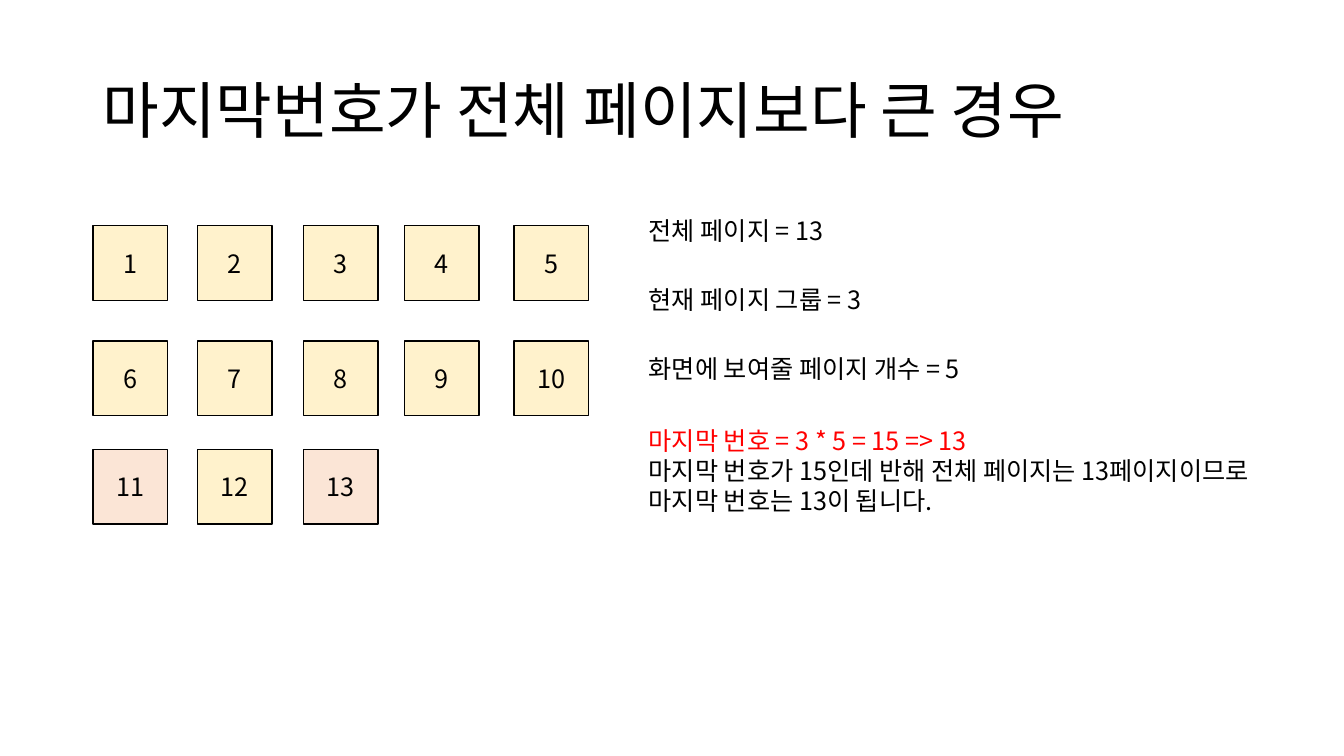
from pptx import Presentation
from pptx.dml.color import RGBColor
from pptx.enum.shapes import MSO_SHAPE
from pptx.enum.text import MSO_ANCHOR, MSO_AUTO_SIZE, PP_ALIGN
from pptx.oxml.ns import qn
from pptx.util import Cm, Pt
from lxml import etree

RECT = MSO_SHAPE.RECTANGLE
MIDDLE = MSO_ANCHOR.MIDDLE
NO_FIT, GROW = MSO_AUTO_SIZE.NONE, MSO_AUTO_SIZE.SHAPE_TO_FIT_TEXT
LEFT, CENTER = PP_ALIGN.LEFT, PP_ALIGN.CENTER
KOREAN_FONT, TITLE_FONT = "Noto Sans CJK KR", "Lato"
BLACK, RED, CREAM, PEACH = "000000", "FF0000", "FFF2CC", "FBE5D6"

TITLE = "마지막번호가 전체 페이지보다 큰 경우"
PAGE_COUNT = 13
GROUP_EDGES = (11, 13)
COLUMNS = (2.34, 4.98, 7.65, 10.19, 12.95)
ROWS = (5.69, 8.59, 11.33)
BOX = 1.88
NOTE_LEFT = 16.1
NOTES = [
    (5.31, 5.56, 1.02, [("전체 페이지 = 13", BLACK)]),
    (7.04, 6.71, 1.02, [("현재 페이지 그룹 = 3", BLACK)]),
    (8.79, 9.5, 1.02, [("화면에 보여줄 페이지 개수 = 5", BLACK)]),
    (10.59, 17.4, 2.57, [
        ("마지막 번호 = 3 * 5 = 15 => 13", RED),
        ("마지막 번호가 15인데 반해 전체 페이지는 13페이지이므로\v"
         "마지막 번호는 13이 됩니다.", BLACK),
    ]),
]


def rgb(color):
    return RGBColor.from_string(color)


def format_paragraph(p, size, color, align, font=KOREAN_FONT):
    p.alignment = align
    for r in p.runs:
        r.font.size = Pt(size)
        r.font.name = font
        r.font.color.rgb = rgb(color)
        ea = etree.SubElement(r.font._element, qn("a:ea"))
        ea.set("typeface", KOREAN_FONT)


prs = Presentation()
prs.slide_width, prs.slide_height = Cm(33.87), Cm(19.05)
s = prs.slides.add_slide(prs.slide_layouts[5])

title = s.shapes.title
title.left, title.top, title.width, title.height = Cm(2.33), Cm(1.01), Cm(29.21), Cm(3.68)
tf = title.text_frame
tf.text = TITLE
tf.vertical_anchor = MIDDLE
tf.auto_size = NO_FIT
p = tf.paragraphs[0]
p.line_spacing = 0.9
format_paragraph(p, 44, BLACK, LEFT, TITLE_FONT)

for i in range(PAGE_COUNT):
    row, column = divmod(i, len(COLUMNS))
    page = i + 1
    sp = s.shapes.add_shape(RECT, Cm(COLUMNS[column]), Cm(ROWS[row]), Cm(BOX), Cm(BOX))
    sp.shadow.inherit = False
    sp.fill.solid()
    sp.fill.fore_color.rgb = rgb(PEACH if page in GROUP_EDGES else CREAM)
    sp.line.color.rgb = rgb(BLACK)
    sp.line.width = Pt(1)
    tf = sp.text_frame
    tf.text = str(page)
    tf.vertical_anchor = MIDDLE
    format_paragraph(tf.paragraphs[0], 18, BLACK, CENTER)

for top, width, height, lines in NOTES:
    sp = s.shapes.add_textbox(Cm(NOTE_LEFT), Cm(top), Cm(width), Cm(height))
    tf = sp.text_frame
    tf.word_wrap = False
    tf.auto_size = GROW
    tf.text = "\n".join(text for text, color in lines)
    for p, (text, color) in zip(tf.paragraphs, lines):
        format_paragraph(p, 18, color, LEFT)

prs.save("out.pptx")
